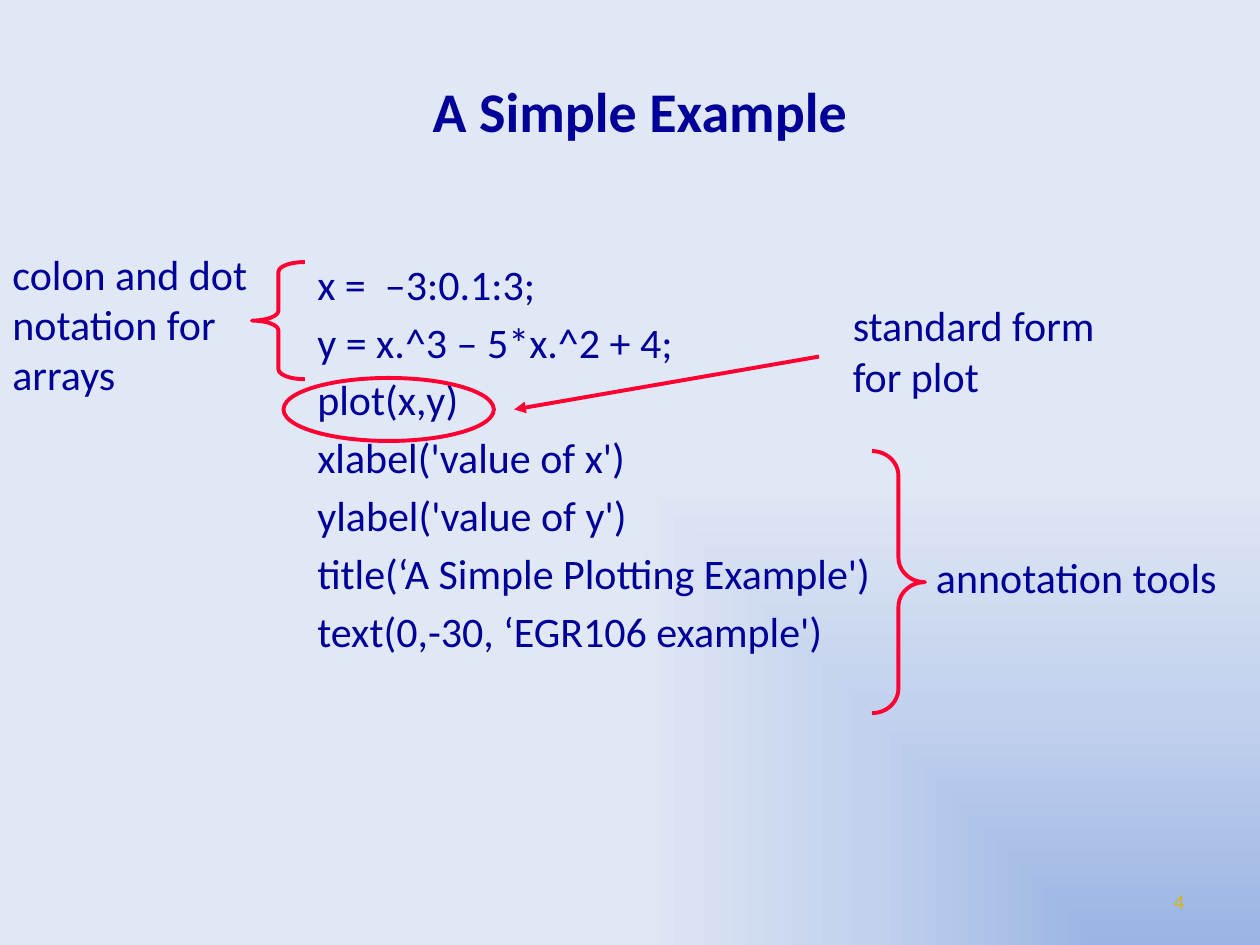
"""Build the slide that explains a simple plotting example."""
from lxml.etree import SubElement
from pptx import Presentation
from pptx.dml.color import RGBColor
from pptx.enum.shapes import MSO_CONNECTOR, MSO_SHAPE
from pptx.enum.text import MSO_ANCHOR, MSO_AUTO_SIZE, PP_ALIGN
from pptx.oxml.ns import qn
from pptx.util import Inches, Pt

NAVY, RED, GOLD = "000099", "FF0033", "D8B511"
FONT = "Calibri"
GRADIENT = [(0, "9AB5E4"), (50, "C2D1ED"), (100, "E1E8F5")]
FOCUS = {"l": 100, "t": 100, "r": 0, "b": 0}

TITLE = ["A Simple Example"]
CODE = [
    "x =  –3:0.1:3;",
    "y = x.^3 – 5*x.^2 + 4;",
    "plot(x,y)",
    "xlabel('value of x')",
    "ylabel('value of y')",
    "title(‘A Simple Plotting Example')",
    "text(0,-30, ‘EGR106 example')",
]
NOTES = [
    (["colon and dot", "notation for", "arrays"], (0, 1.92, 2.08, 1.31), True),
    (["standard form", "for plot"], (6.67, 2.33, 2.14, 0.91), False),
    (["annotation tools"], (7.33, 4.33, 2.5, 0.5), True),
]
BRACES = [
    ((2, 2.08, 0.42, 0.93), 0.185, 0),
    ((6.92, 3.58, 0.42, 2.08), 0.467, 180),
]
PLOT_RING = (2.25, 3, 1.67, 0.5)
ARROW = (6.5, 2.83, 4.08, 3.25)


def color(value):
    return RGBColor.from_string(value)


def inches(values):
    return [Inches(value) for value in values]


def paint_background(page):
    fill = page.background.fill
    fill.gradient()
    gradient = page.background.element.find(".//" + qn("a:gradFill"))
    for child in list(gradient):
        gradient.remove(child)
    stops = SubElement(gradient, qn("a:gsLst"))
    for position, value in GRADIENT:
        stop = SubElement(stops, qn("a:gs"), pos=str(position * 1000))
        SubElement(stop, qn("a:srgbClr"), val=value)
    shade = SubElement(gradient, qn("a:path"), {"path": "rect"})
    focus = {side: str(percent * 1000) for side, percent in FOCUS.items()}
    SubElement(shade, qn("a:fillToRect"), focus)


def add_text(page, lines, place, size=24, ink=NAVY, bold=False, align=PP_ALIGN.LEFT,
             anchor=MSO_ANCHOR.TOP, before=0, wrap=True, fit=MSO_AUTO_SIZE.NONE):
    frame = page.shapes.add_textbox(*inches(place)).text_frame
    frame.word_wrap = wrap
    frame.auto_size = fit
    frame.vertical_anchor = anchor
    frame.text = "\n".join(lines)
    for para in frame.paragraphs:
        para.alignment = align
        para.space_before = Pt(before)
        para.font.name = FONT
        para.font.size = Pt(size)
        para.font.bold = bold
        para.font.color.rgb = color(ink)


def draw_line(line):
    line.color.rgb = color(RED)
    line.width = Pt(2.25)


def add_outline(page, kind, place):
    shape = page.shapes.add_shape(kind, *inches(place))
    shape.shadow.inherit = False
    shape.fill.background()
    draw_line(shape.line)
    return shape


def add_arrow(page, ends):
    arrow = page.shapes.add_connector(MSO_CONNECTOR.STRAIGHT, *inches(ends))
    draw_line(arrow.line)
    properties = arrow.element.spPr
    SubElement(properties.find(qn("a:ln")), qn("a:tailEnd"), type="triangle")
    SubElement(properties, qn("a:effectLst"))


def main():
    deck = Presentation()
    deck.slide_width, deck.slide_height = Inches(10), Inches(7.5)
    page = deck.slides.add_slide(deck.slide_layouts[6])
    paint_background(page)
    add_text(page, ["4"], (7.17, 6.95, 2.33, 0.4), size=12, ink=GOLD,
             align=PP_ALIGN.RIGHT, anchor=MSO_ANCHOR.MIDDLE)
    add_text(page, TITLE, (0.58, 0.25, 9, 1.25), size=32, bold=True,
             align=PP_ALIGN.CENTER, anchor=MSO_ANCHOR.MIDDLE)
    add_text(page, CODE, (2.42, 2, 5.25, 4.07), align=PP_ALIGN.JUSTIFY, before=4.25)
    for lines, place, wrap in NOTES:
        add_text(page, lines, place, wrap=wrap, fit=MSO_AUTO_SIZE.SHAPE_TO_FIT_TEXT)
    add_outline(page, MSO_SHAPE.OVAL, PLOT_RING)
    add_arrow(page, ARROW)
    for place, curve, turn in BRACES:
        brace = add_outline(page, MSO_SHAPE.LEFT_BRACE, place)
        brace.adjustments[0] = curve
        brace.rotation = turn
    deck.save("out.pptx")


if __name__ == "__main__":
    main()
